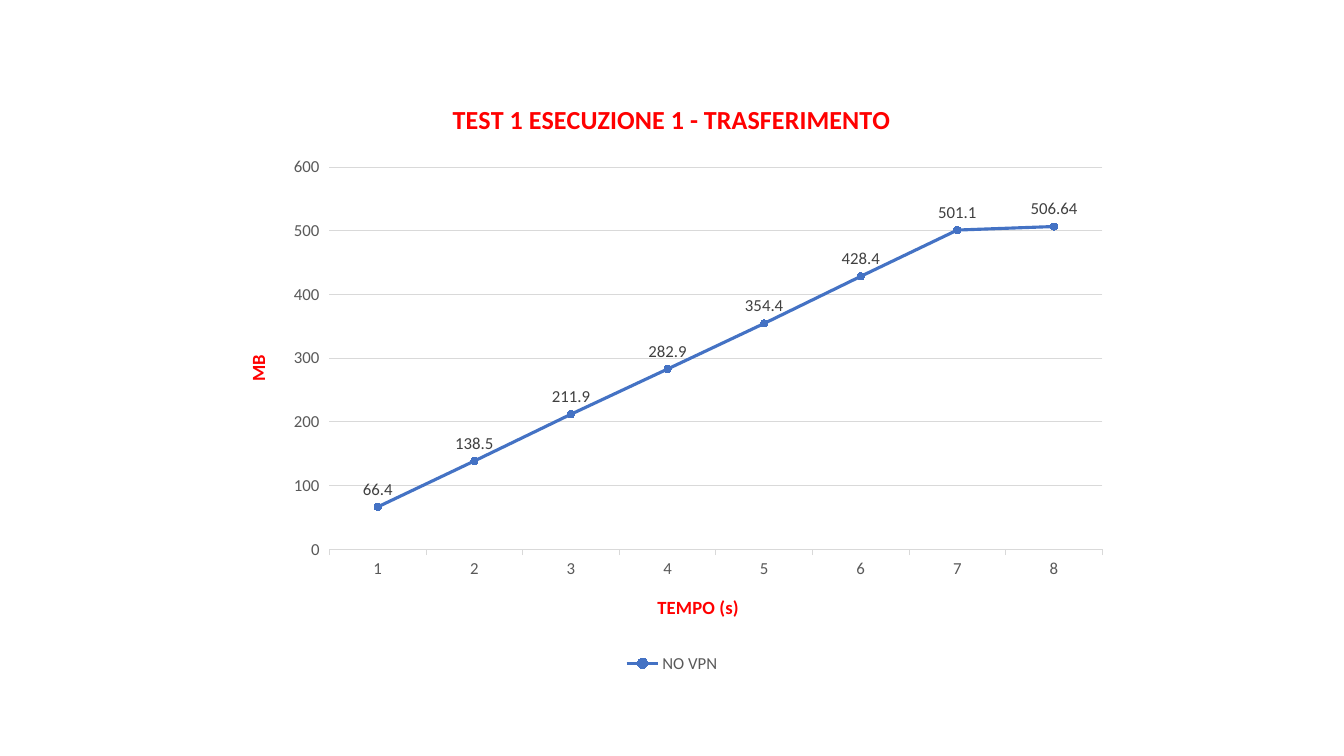
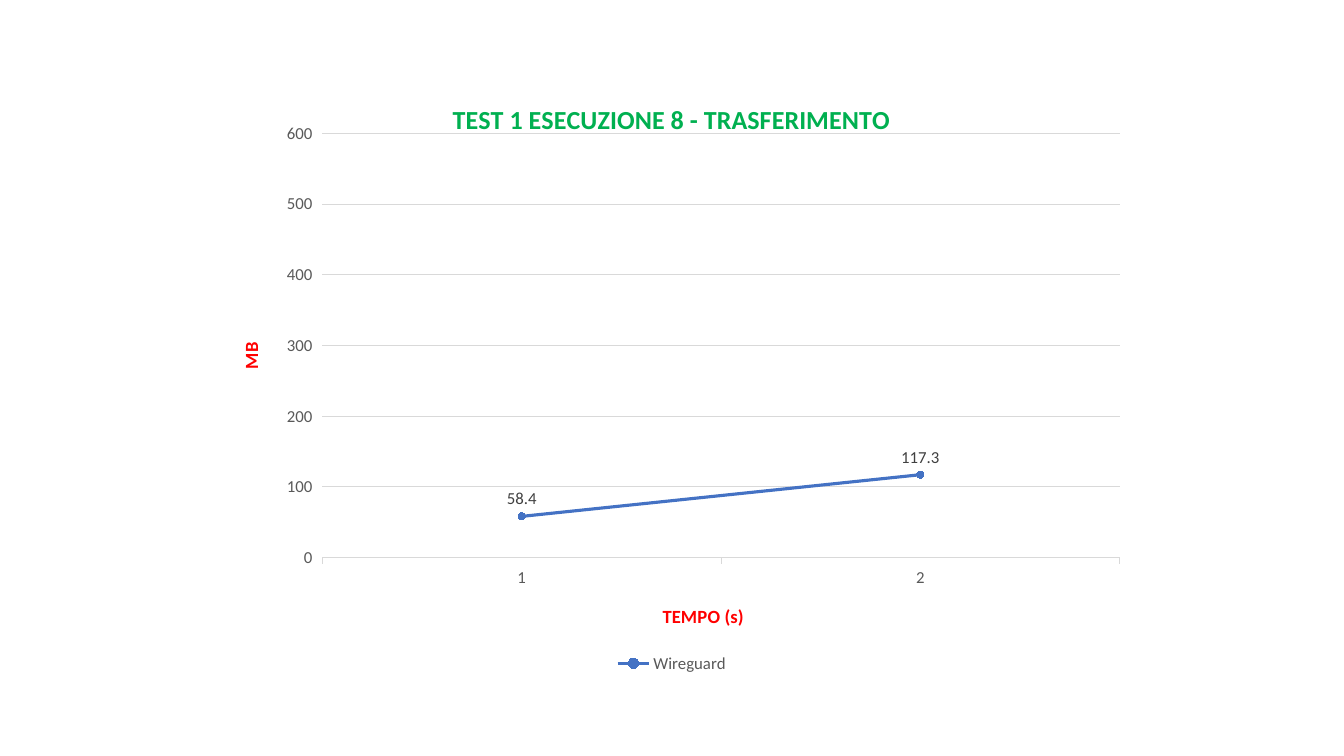
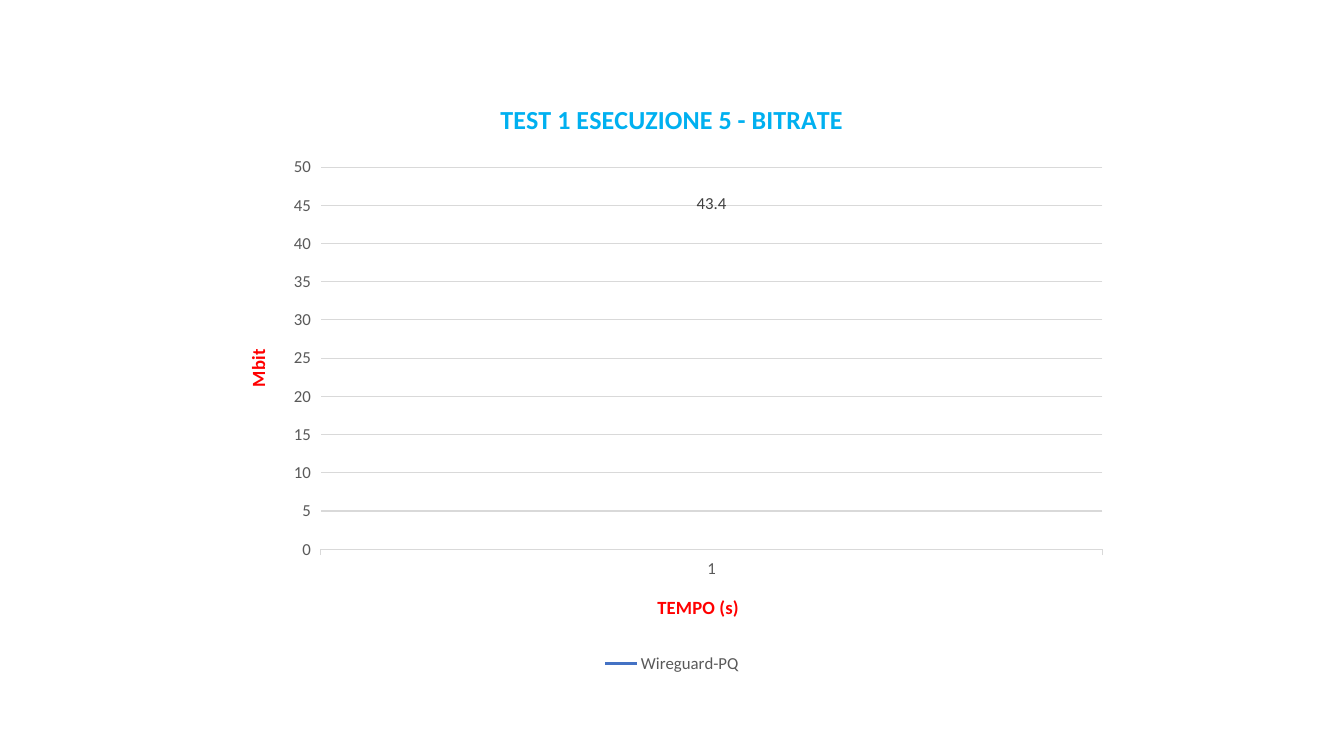
from lxml import etree
from pptx import Presentation
from pptx.chart.data import CategoryChartData
from pptx.dml.color import RGBColor
from pptx.enum import chart as ch
from pptx.oxml.ns import qn
from pptx.util import Inches, Pt

RED, GREEN, SKY = "FF0000", "00B050", "00B0F0"
BLUE, GREY, DARK, RULE = "4472C4", "595959", "404040", "D9D9D9"
FONT = "Calibri"
BOX = [Inches(n) for n in (2.22, 0.79, 8.89, 5.93)]

TESTS = [
    {"title": "TEST 1 ESECUZIONE 1 - TRASFERIMENTO", "color": RED, "unit": "MB",
     "name": "NO VPN", "top": 600, "marks": True,
     "vals": [66.4, 138.5, 211.9, 282.9, 354.4, 428.4, 501.1, 506.64]},
    {"title": "TEST 1 ESECUZIONE 8 - TRASFERIMENTO", "color": GREEN, "unit": "MB",
     "name": "Wireguard", "top": 600, "marks": True, "vals": [58.4, 117.3],
     "plot": {"x": 0.11, "y": 0.09, "w": 0.89, "h": 0.71}},
    {"title": "TEST 1 ESECUZIONE 5 - BITRATE", "color": SKY, "unit": "Mbit",
     "name": "Wireguard-PQ", "vals": [43.4]},
]


def rgb(code):
    return RGBColor.from_string(code)


def style(font, size, color, bold=False):
    font.name, font.size, font.bold = FONT, Pt(size), bold
    font.color.rgb = rgb(color)


def rule(line, color, width):
    line.color.rgb = rgb(color)
    line.width = Pt(width)


def head(owner, words, size, color):
    frame = owner.text_frame
    frame.text = words
    style(frame.paragraphs[0].font, size, color, True)
    return frame


def place(chart, plot):
    area = chart.plots[0]._element.getparent()
    old = area.find(qn("c:layout"))
    if old is not None:
        area.remove(old)
    lay = etree.Element(qn("c:layout"))
    area.insert(0, lay)
    man = etree.SubElement(lay, qn("c:manualLayout"))
    parts = [("layoutTarget", "inner"), ("xMode", "edge"), ("yMode", "edge")]
    for tag, val in parts + list(plot.items()):
        etree.SubElement(man, qn("c:" + tag)).set("val", str(val))


def axes(chart, test):
    cat, val = chart.category_axis, chart.value_axis
    for axis, words in ((cat, "TEMPO (s)"), (val, test["unit"])):
        frame = head(axis.axis_title, words, 13.3, RED)
        style(axis.tick_labels.font, 12, GREY)
        axis.major_tick_mark = ch.XL_TICK_MARK.OUTSIDE
        axis.minor_tick_mark = ch.XL_TICK_MARK.NONE
    frame._txBody.bodyPr.set("rot", "-5400000")
    frame._txBody.bodyPr.set("vert", "horz")
    rule(cat.format.line, RULE, 0.75)
    val.format.line.fill.background()
    val.has_major_gridlines = True
    rule(val.major_gridlines.format.line, RULE, 0.75)
    if "top" in test:
        val.minimum_scale, val.maximum_scale = 0, test["top"]


def trace(chart, marks):
    plot = chart.plots[0]
    plot.vary_by_categories = False
    line = plot.series[0]
    line.smooth = False
    rule(line.format.line, BLUE, 2.25)
    if marks:
        dot = line.marker
        dot.style, dot.size = ch.XL_MARKER_STYLE.CIRCLE, 5
        dot.format.fill.solid()
        dot.format.fill.fore_color.rgb = rgb(BLUE)
        rule(dot.format.line, BLUE, 0.75)
    tags = line.data_labels
    tags.show_value = True
    tags.position = ch.XL_LABEL_POSITION.ABOVE
    style(tags.font, 12, DARK)


def build(deck, test):
    marks = test.get("marks", False)
    data = CategoryChartData()
    data.categories = [str(n + 1) for n in range(len(test["vals"]))]
    data.add_series(test["name"], test["vals"])
    kind = ch.XL_CHART_TYPE.LINE_MARKERS if marks else ch.XL_CHART_TYPE.LINE
    slide = deck.slides.add_slide(deck.slide_layouts[6])
    chart = slide.shapes.add_chart(kind, *BOX, data).chart
    style(chart.font, 10, "000000")
    chart.has_title = True
    head(chart.chart_title, test["title"], 18.6, test["color"])
    chart.chart_title.include_in_layout = False
    chart.has_legend = True
    chart.legend.position = ch.XL_LEGEND_POSITION.BOTTOM
    chart.legend.include_in_layout = False
    style(chart.legend.font, 12, GREY)
    axes(chart, test)
    trace(chart, marks)
    if "plot" in test:
        place(chart, test["plot"])


def main():
    deck = Presentation()
    deck.slide_width, deck.slide_height = Inches(13.33), Inches(7.5)
    for test in TESTS:
        build(deck, test)
    deck.save("out.pptx")


if __name__ == "__main__":
    main()
